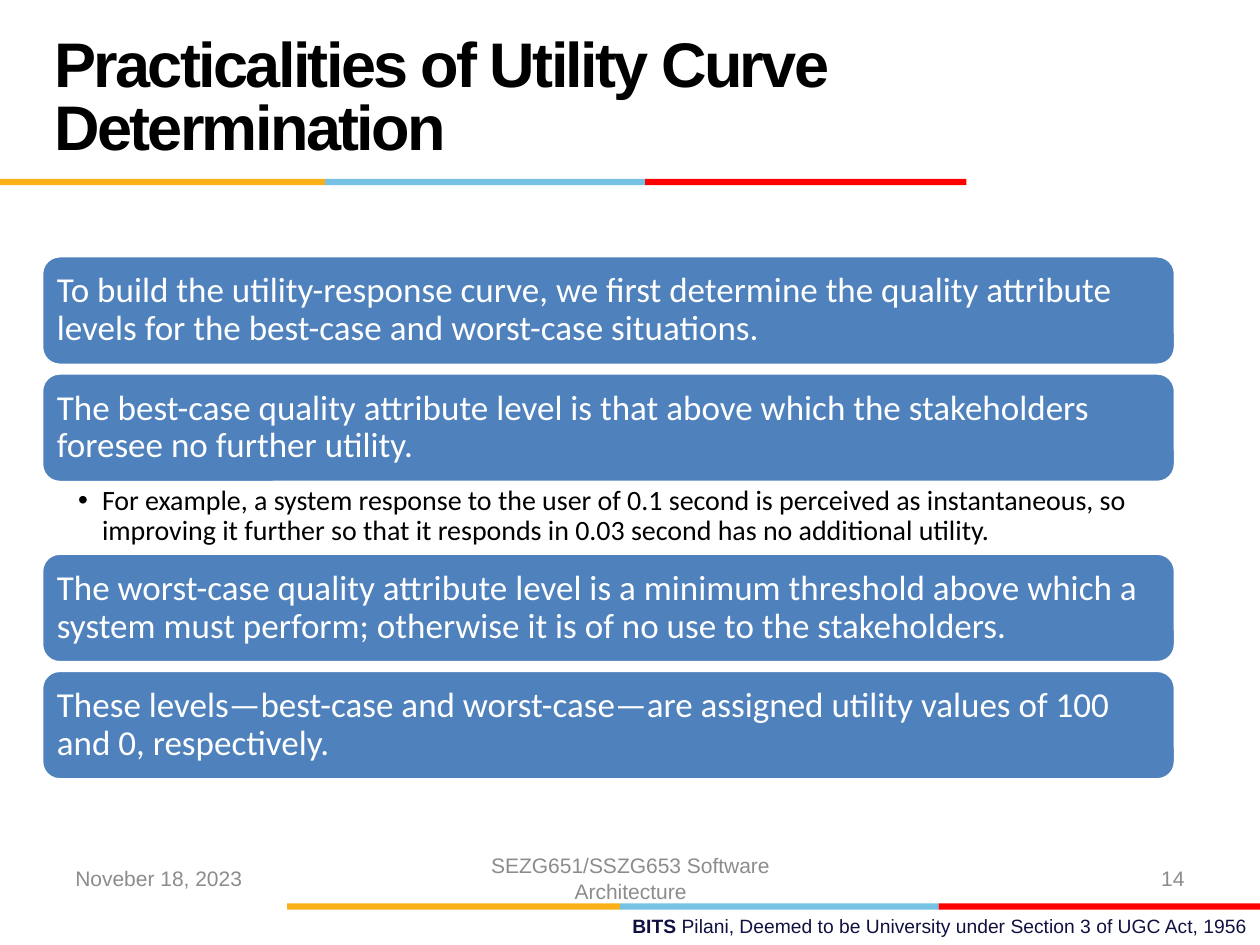
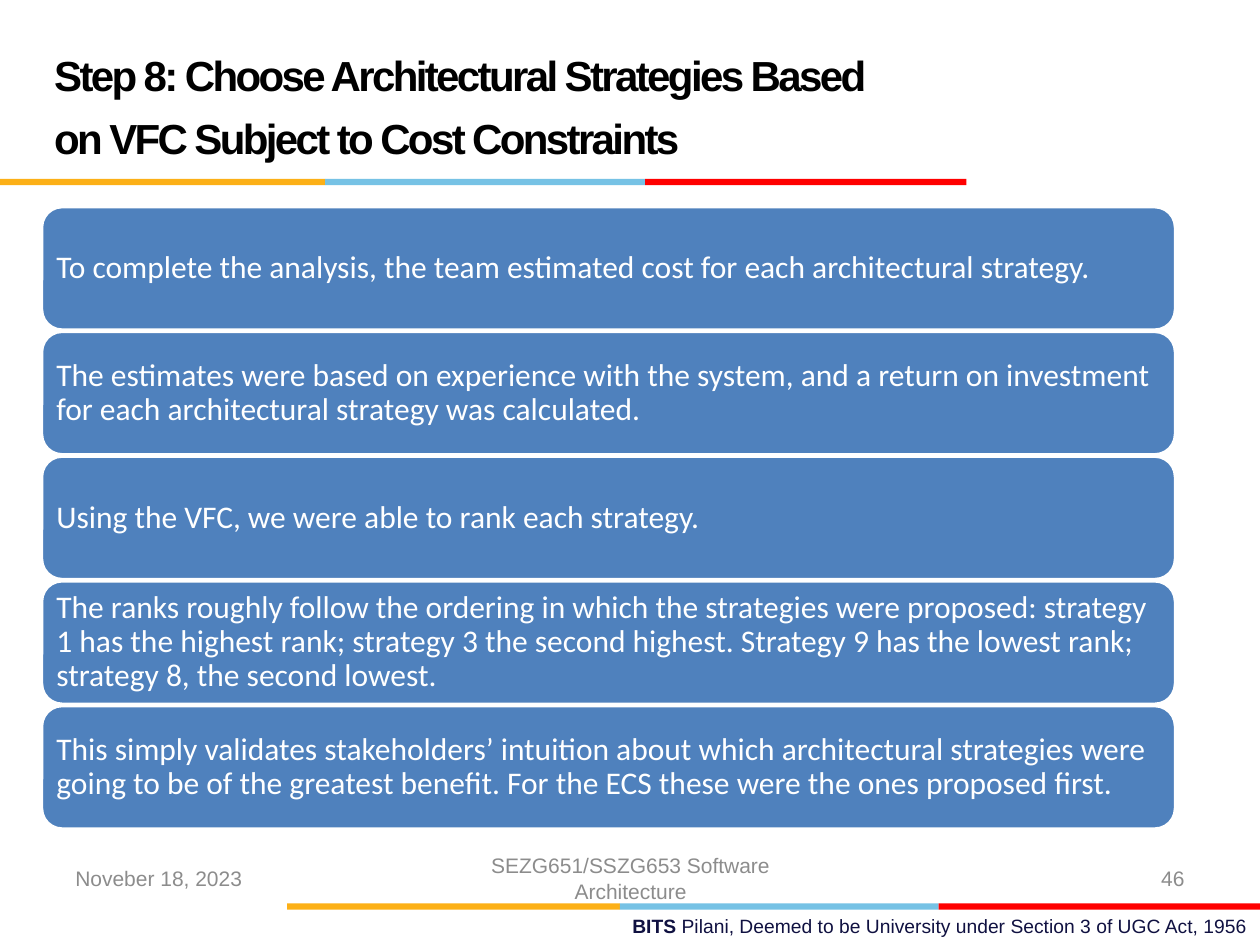
from dataclasses import dataclass

from lxml.etree import SubElement
from pptx import Presentation
from pptx.dml.color import RGBColor
from pptx.enum.shapes import MSO_SHAPE
from pptx.enum.text import MSO_ANCHOR, MSO_AUTO_SIZE, PP_ALIGN
from pptx.oxml.ns import qn
from pptx.util import Inches, Pt

COLORS = {
    "orange": "FCB017", "sky": "76C2E5", "red": "FF0000", "card": "4F81BD",
    "white": "FFFFFF", "black": "000000", "gray": "8C8C8C", "navy": "101141",
}
HEAD, BODY = "Arial", "Calibri"
CARD_LEFT, CARD_WIDTH = 0.33, 9
NOTE_HEIGHT = 0.56


@dataclass(frozen=True)
class Bar:
    left: float
    right: float
    color: str


@dataclass(frozen=True)
class Card:
    text: str
    note: str = ""


@dataclass(frozen=True)
class CardSlide:
    title: str
    title_size: int
    number: str
    top: float
    height: float
    gap: float
    inset: float
    size: int
    cards: tuple[Card, ...]


TITLE_BAND = (Bar(0, 2.58, "orange"), Bar(2.58, 5.12, "sky"), Bar(5.12, 7.67, "red"))
FOOTER_BAND = (Bar(2.28, 4.92, "orange"), Bar(4.92, 7.45, "sky"), Bar(7.45, 10, "red"))

SLIDES = (
    CardSlide(
        "Practicalities of Utility Curve Determination", 36, "14",
        top=2.03, height=0.87, gap=0.06, inset=0.08, size=20,
        cards=(
            Card("To build the utility-response curve, we first determine the quality "
                 "attribute levels for the best-case and worst-case situations."),
            Card("The best-case quality attribute level is that above which the "
                 "stakeholders foresee no further utility.",
                 note="For example, a system response to the user of 0.1 second is "
                      "perceived as instantaneous, so improving it further so that it "
                      "responds in 0.03 second has no additional utility."),
            Card("The worst-case quality attribute level is a minimum threshold above "
                 "which a system must perform; otherwise it is of no use to the "
                 "stakeholders."),
            Card("These levels—best-case and worst-case—are assigned utility values of "
                 "100 and 0, respectively."),
        ),
    ),
    CardSlide(
        "Step 8: Choose Architectural Strategies Based on VFC Subject to Cost Constraints",
        24, "46", top=1.64, height=0.98, gap=0.01, inset=0.07, size=18,
        cards=(
            Card("To complete the analysis, the team estimated cost for each "
                 "architectural strategy."),
            Card("The estimates were based on experience with the system, and a return "
                 "on investment for each architectural strategy was calculated."),
            Card("Using the VFC, we were able to rank each strategy."),
            Card("The ranks roughly follow the ordering in which the strategies were "
                 "proposed: strategy 1 has the highest rank; strategy 3 the second "
                 "highest. Strategy 9 has the lowest rank; strategy 8, the second lowest."),
            Card("This simply validates stakeholders’ intuition about which architectural "
                 "strategies were going to be of the greatest benefit. For the ECS these "
                 "were the ones proposed first."),
        ),
    ),
)


def rgb(name: str) -> RGBColor:
    return RGBColor.from_string(COLORS[name])


def add_text(p, text: str, *, size=12, font=HEAD, color="black", bold=False,
             align=PP_ALIGN.LEFT, line_spacing=None, tracking=0):
    """Add one formatted run to a paragraph."""
    p.alignment = align
    if line_spacing is not None:
        p.line_spacing = line_spacing
    r = p.add_run()
    r.text = text
    r.font.size, r.font.name, r.font.bold = Pt(size), font, bold
    r.font.color.rgb = rgb(color)
    if tracking:
        r.font._element.set("spc", str(round(tracking * 100)))


def setup_frame(tf, anchor=MSO_ANCHOR.MIDDLE, insets=(0.1, 0.05, 0.1, 0.05)):
    """Fix wrapping, anchor and margins; return the first paragraph."""
    tf.word_wrap = True
    tf.auto_size = MSO_AUTO_SIZE.NONE
    tf.vertical_anchor = anchor
    tf.margin_left, tf.margin_top, tf.margin_right, tf.margin_bottom = map(Inches, insets)
    return tf.paragraphs[0]


def add_box(s, left: float, top: float, width: float, height: float, **frame):
    sp = s.shapes.add_textbox(*map(Inches, (left, top, width, height)))
    return setup_frame(sp.text_frame, **frame)


def add_filled(s, kind, left: float, top: float, width: float, height: float, fill: str):
    sp = s.shapes.add_shape(kind, *map(Inches, (left, top, width, height)))
    sp.shadow.inherit = False
    sp.fill.solid()
    sp.fill.fore_color.rgb = rgb(fill)
    sp.line.fill.background()
    return sp


def add_band(s, bars: tuple[Bar, ...], top: float) -> None:
    for bar in bars:
        add_filled(s, MSO_SHAPE.RECTANGLE, bar.left, top, bar.right - bar.left, 0.05, bar.color)


def add_title(s, text: str, size: int) -> None:
    sp = s.shapes.title
    sp.left, sp.top, sp.width, sp.height = map(Inches, (0.33, 0.17, 6.92, 1.25))
    p = setup_frame(sp.text_frame)
    add_text(p, text, size=size, bold=True, line_spacing=Pt(36), tracking=-1.5)


def add_footer(s, number: str) -> None:
    p = add_box(s, 3.58, 7.21, 6.42, 0.29, anchor=MSO_ANCHOR.TOP)
    for text, bold in (("BITS ", True),
                       ("Pilani, Deemed to be University under Section 3 of UGC Act, 1956", False)):
        add_text(p, text, size=11, color="navy", bold=bold, align=PP_ALIGN.RIGHT)
    for left, width, text, align in (
        (0.5, 2.33, "Noveber 18, 2023", PP_ALIGN.LEFT),
        (3.42, 3.17, "SEZG651/SSZG653 Software Architecture", PP_ALIGN.CENTER),
        (7.17, 2.33, number, PP_ALIGN.RIGHT),
    ):
        add_text(add_box(s, left, 6.77, width, 0.4), text, color="gray", align=align)


def add_note(s, text: str, top: float) -> None:
    p = add_box(s, CARD_LEFT, top, CARD_WIDTH, NOTE_HEIGHT,
                anchor=MSO_ANCHOR.TOP, insets=(0.29, 0.03, 0.16, 0.03))
    pPr = p._p.get_or_add_pPr()
    pPr.set("marL", str(Inches(0.19)))
    pPr.set("indent", str(-Inches(0.19)))
    SubElement(pPr, qn("a:buFont")).set("typeface", HEAD)
    SubElement(pPr, qn("a:buChar")).set("char", "•")
    add_text(p, text, size=16, font=BODY, line_spacing=0.9)


def add_cards(s, data: CardSlide) -> None:
    top = data.top
    for card in data.cards:
        sp = add_filled(s, MSO_SHAPE.ROUNDED_RECTANGLE, CARD_LEFT, top,
                        CARD_WIDTH, data.height, "card")
        sp.line.color.rgb = rgb("white")
        sp.line.width = Pt(2)
        p = setup_frame(sp.text_frame, insets=(data.inset,) * 4)
        add_text(p, card.text, size=data.size, font=BODY, color="white", line_spacing=0.9)
        top += data.height
        if card.note:
            add_note(s, card.note, top)
            top += NOTE_HEIGHT
        else:
            top += data.gap


def main() -> None:
    prs = Presentation()
    prs.slide_width, prs.slide_height = Inches(10), Inches(7.5)
    title_only = prs.slide_layouts[5]
    for data in SLIDES:
        s = prs.slides.add_slide(title_only)
        # Shared frame
        add_band(s, FOOTER_BAND, 7.17)
        add_band(s, TITLE_BAND, 1.42)
        add_title(s, data.title, data.title_size)
        add_footer(s, data.number)
        # Slide content
        add_cards(s, data)
    prs.save("out.pptx")


if __name__ == "__main__":
    main()
